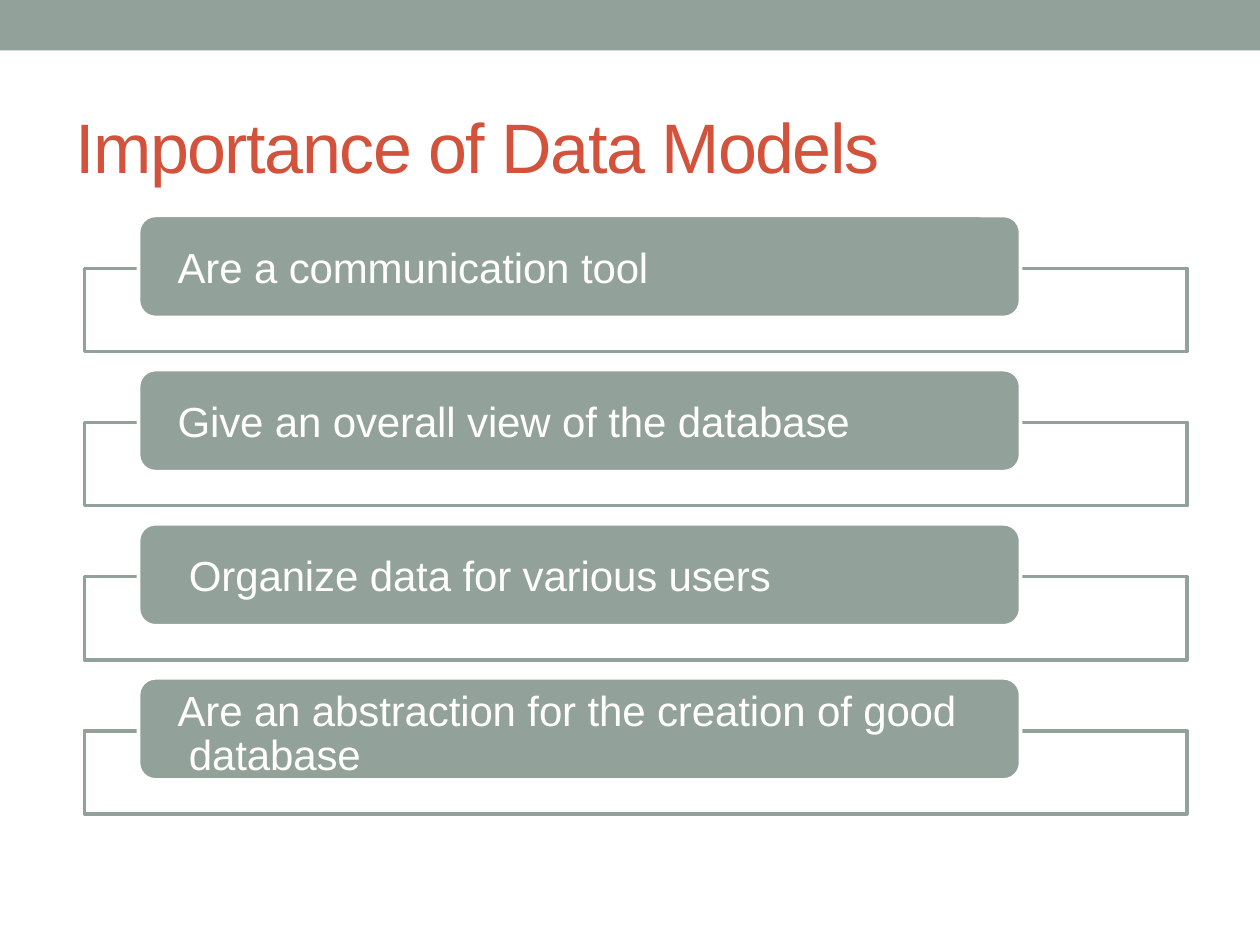
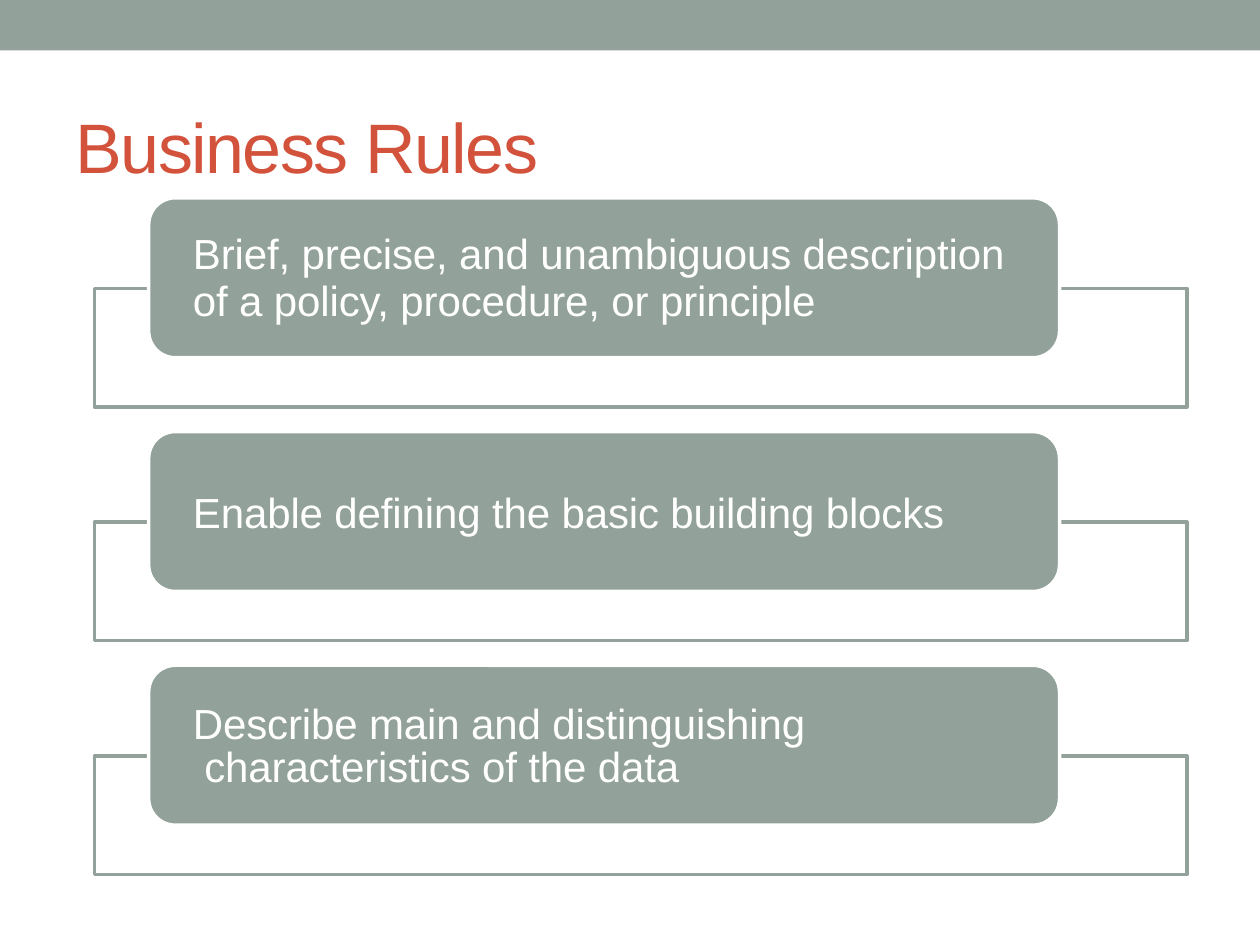
"""Builds two slides of stacked label boxes on open frames."""
from pptx import Presentation
from pptx.dml.color import RGBColor
from pptx.enum.shapes import MSO_SHAPE
from pptx.enum.text import MSO_ANCHOR, PP_ALIGN
from pptx.util import Inches, Pt

RECTANGLE = MSO_SHAPE.RECTANGLE
ROUNDED = MSO_SHAPE.ROUNDED_RECTANGLE
MIDDLE = MSO_ANCHOR.MIDDLE
LEFT = PP_ALIGN.LEFT

SAGE = RGBColor(0x92, 0xA1, 0x99)
RUST = RGBColor(0xD2, 0x52, 0x3B)
WHITE = RGBColor(0xFF, 0xFF, 0xFF)
FONT = "Arial"
OUTLINE = 2.08
HANG = 0.09

SLIDES = [
    {
        "title": "Importance of Data Models",
        "labels": [
            {"lines": [("Are a communication tool", 0)]},
            {"lines": [("Give an overall view of the database", 0)]},
            {"lines": [("Organize data for various users", HANG)]},
            {"lines": [("Are an abstraction for the creation of good", 0),
                       ("database", HANG)],
             "leading": 24.8, "drop": 0.1},
        ],
        "label_size": (1.1, 7, 0.81),
        "label_tops": (1.71, 5.38),
        "frame_size": (0.67, 8.75, 0.66),
        "frame_drop": 0.42,
        "inset": 0.27,
    },
    {
        "title": "Business Rules",
        "labels": [
            {"lines": [("Brief, precise, and unambiguous description", 0),
                       ("of a policy, procedure, or principle", 0)],
             "leading": 26.9},
            {"lines": [("Enable defining the basic building blocks", 0)]},
            {"lines": [("Describe main and distinguishing", 0),
                       ("characteristics of the data", HANG)],
             "leading": 24.9, "drop": 0.04},
        ],
        "label_size": (1.18, 7.23, 1.27),
        "label_tops": (1.57, 5.28),
        "frame_size": (0.75, 8.67, 0.94),
        "frame_drop": 0.72,
        "inset": 0.29,
    },
]


def add_box(page, kind, left, top, width, height, fill=None, line=None):
    box = page.shapes.add_shape(kind, Inches(left), Inches(top), Inches(width), Inches(height))
    box.shadow.inherit = False
    if fill is None:
        box.fill.background()
    else:
        box.fill.solid()
        box.fill.fore_color.rgb = fill
    if line is None:
        box.line.fill.background()
    else:
        box.line.color.rgb = line
        box.line.width = Pt(OUTLINE)
    return box


def set_margins(frame, left=0, top=0):
    frame.word_wrap = True
    frame.margin_left, frame.margin_top = Inches(left), Inches(top)
    frame.margin_right = frame.margin_bottom = 0


def style_line(para, size, colour, spacing):
    para.alignment = LEFT
    for span in para.runs:
        span.font.name = FONT
        span.font.size = Pt(size)
        span.font.color.rgb = colour
        span.font._element.set("spc", str(spacing))


def add_title(page, title):
    box = page.shapes.add_textbox(Inches(0.6), Inches(0.82), Inches(8.83), Inches(0.65))
    set_margins(box.text_frame)
    box.text_frame.text = title
    style_line(box.text_frame.paragraphs[0], 40, RUST, -86)


def write_label(box, label, inset):
    frame = box.text_frame
    set_margins(frame, inset, label.get("drop", 0))
    frame.vertical_anchor = MIDDLE
    frame.text = "\n".join(text for text, indent in label["lines"])
    for para, (text, indent) in zip(frame.paragraphs, label["lines"]):
        style_line(para, 24, WHITE, -8)
        if indent:
            para._p.get_or_add_pPr().set("marL", str(Inches(indent)))
        if "leading" in label:
            para.line_spacing = Pt(label["leading"])


def add_labels(page, content):
    first, last = content["label_tops"]
    step = (last - first) / (len(content["labels"]) - 1)
    left, width, height = content["label_size"]
    frame_left, frame_width, frame_height = content["frame_size"]
    for index, label in enumerate(content["labels"]):
        top = first + index * step
        add_box(page, RECTANGLE, frame_left, top + content["frame_drop"],
                frame_width, frame_height, line=SAGE)
        box = add_box(page, ROUNDED, left, top, width, height, fill=SAGE, line=WHITE)
        write_label(box, label, content["inset"])


def main():
    deck = Presentation()
    deck.slide_width, deck.slide_height = Inches(10), Inches(7.5)
    for content in SLIDES:
        page = deck.slides.add_slide(deck.slide_layouts[6])
        add_box(page, RECTANGLE, 0, 0, 10, 0.4, fill=SAGE)
        add_title(page, content["title"])
        add_labels(page, content)
    deck.save("out.pptx")


if __name__ == "__main__":
    main()
